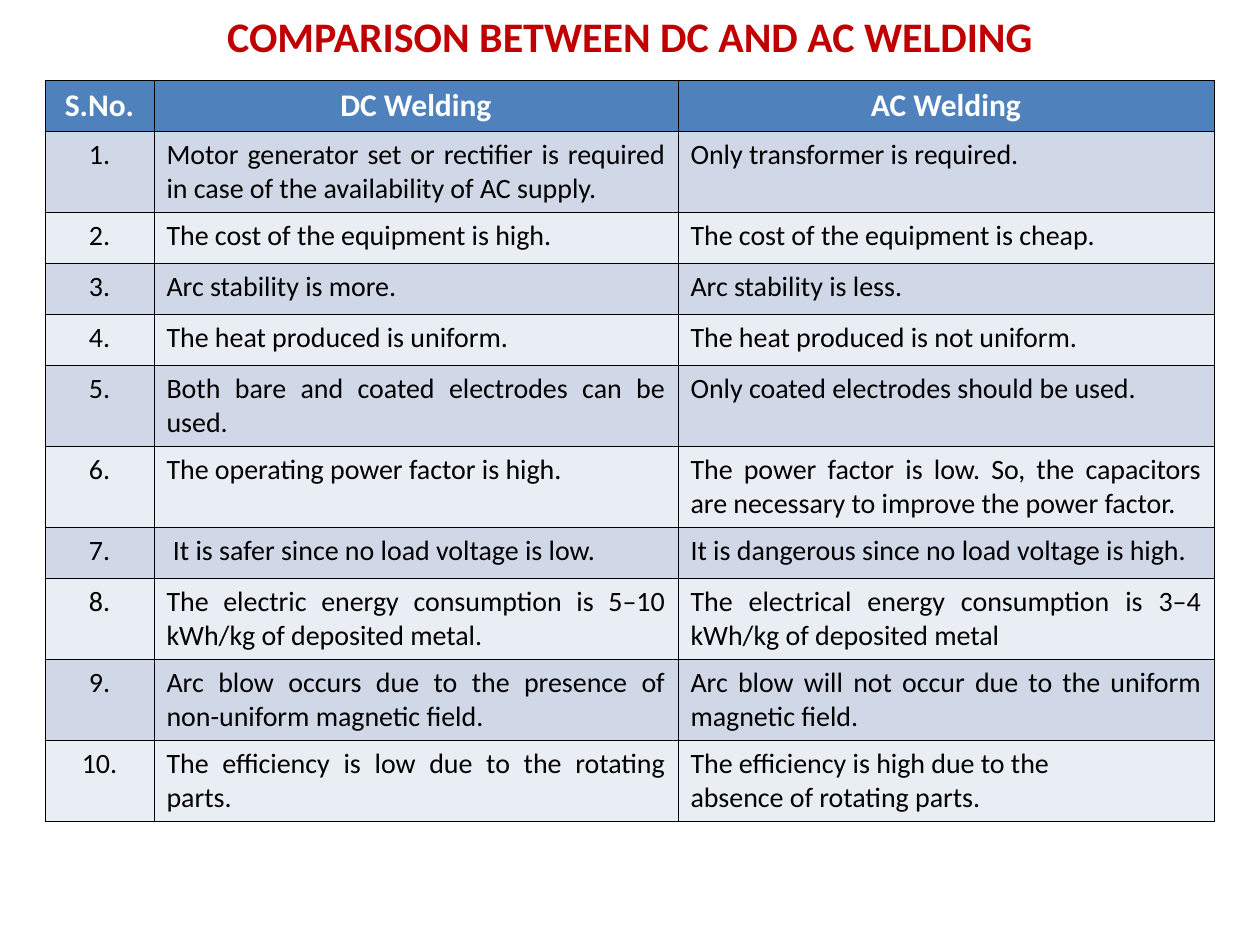
from dataclasses import dataclass

from lxml.etree import SubElement
from pptx import Presentation
from pptx.dml.color import RGBColor as RGB
from pptx.enum.text import MSO_ANCHOR as Anchor, PP_ALIGN as Align
from pptx.oxml.ns import qn
from pptx.util import Emu, Pt

EMU_PER_PX = 914400 / 126


@dataclass(frozen=True)
class Theme:
    font: str = "Calibri"
    title: RGB = RGB(0xC0, 0x00, 0x00)
    header_text: RGB = RGB(0xFF, 0xFF, 0xFF)
    header_fill: RGB = RGB(0x4F, 0x81, 0xBD)
    text: RGB = RGB(0x00, 0x00, 0x00)
    bands: tuple = (RGB(0xD0, 0xD8, 0xE8), RGB(0xE9, 0xED, 0xF4))
    border: str = "000000"
    border_width: float = 0.45
    title_size: int = 24
    header_size: int = 18
    body_size: int = 16


THEME = Theme()

TITLE = "COMPARISON BETWEEN DC AND AC WELDING"
HEADERS = ("S.No.", "DC Welding", "AC Welding")
COL_WIDTHS = (109, 524, 536)
LINE_ROW, TWO_LINE_ROW = 51, 81

# Row height, DC welding, AC welding
COMPARISON = [
    (TWO_LINE_ROW,
     "Motor generator set or rectifier is required in case of the availability of AC supply.",
     "Only transformer is required."),
    (LINE_ROW, "The cost of the equipment is high.", "The cost of the equipment is cheap."),
    (LINE_ROW, "Arc stability is more.", "Arc stability is less."),
    (LINE_ROW, "The heat produced is uniform.", "The heat produced is not uniform."),
    (TWO_LINE_ROW, "Both bare and coated electrodes can be used.",
     "Only coated electrodes should be used."),
    (TWO_LINE_ROW, "The operating power factor is high.",
     "The power factor is low. So, the capacitors are necessary to improve the power factor."),
    (LINE_ROW, " It is safer since no load voltage is low.",
     "It is dangerous since no load voltage is high."),
    (TWO_LINE_ROW, "The electric energy consumption is 5–10 kWh/kg of deposited metal.",
     "The electrical energy consumption is 3–4 kWh/kg of deposited metal"),
    (TWO_LINE_ROW, "Arc blow occurs due to the presence of non-uniform magnetic field.",
     "Arc blow will not occur due to the uniform magnetic field."),
    (TWO_LINE_ROW, "The efficiency is low due to the rotating parts.",
     "The efficiency is high due to the\nabsence of rotating parts."),
]


def px(n):
    return Emu(round(n * EMU_PER_PX))


def set_text(tf, text, size, color, align, bold=False):
    tf.text = text
    for p in tf.paragraphs:
        p.alignment = align
        for r in p.runs:
            r.font.name = THEME.font
            r.font.size = Pt(size)
            r.font.bold = bold
            r.font.color.rgb = color


def add_title(s):
    sp = s.shapes.title
    sp.left, sp.top, sp.width, sp.height = px(63), px(4), px(1134), px(77)
    tf = sp.text_frame
    tf.word_wrap = True
    tf.vertical_anchor = Anchor.TOP
    set_text(tf, TITLE, THEME.title_size, THEME.title, Align.CENTER, bold=True)


def fill_cell(cell, color):
    """Give the cell its borders, then its fill, in schema order."""
    tc_pr = cell._tc.get_or_add_tcPr()
    for side in ("a:lnL", "a:lnR", "a:lnT", "a:lnB"):
        ln = SubElement(tc_pr, qn(side), w=str(Pt(THEME.border_width)))
        solid = SubElement(ln, qn("a:solidFill"))
        SubElement(solid, qn("a:srgbClr"), val=THEME.border)
    cell.fill.solid()
    cell.fill.fore_color.rgb = color


def add_comparison_table(s):
    heights = [LINE_ROW] + [row[0] for row in COMPARISON]
    table = s.shapes.add_table(
        len(heights), len(COL_WIDTHS), px(45), px(80),
        px(sum(COL_WIDTHS)), px(sum(heights))).table
    for column, width in zip(table.columns, COL_WIDTHS):
        column.width = px(width)
    for row, height in zip(table.rows, heights):
        row.height = px(height)

    for c, header in enumerate(HEADERS):
        cell = table.cell(0, c)
        fill_cell(cell, THEME.header_fill)
        set_text(cell.text_frame, header, THEME.header_size, THEME.header_text,
                 Align.CENTER, bold=True)

    for number, (_, dc, ac) in enumerate(COMPARISON, start=1):
        for c, text in enumerate((f"{number}.", dc, ac)):
            cell = table.cell(number, c)
            fill_cell(cell, THEME.bands[(number - 1) % 2])
            set_text(cell.text_frame, text, THEME.body_size, THEME.text,
                     Align.JUSTIFY if c else Align.CENTER)


def main():
    prs = Presentation()
    prs.slide_width, prs.slide_height = px(1260), px(945)
    s = prs.slides.add_slide(prs.slide_layouts[5])
    add_title(s)
    add_comparison_table(s)
    prs.save("out.pptx")


if __name__ == "__main__":
    main()
